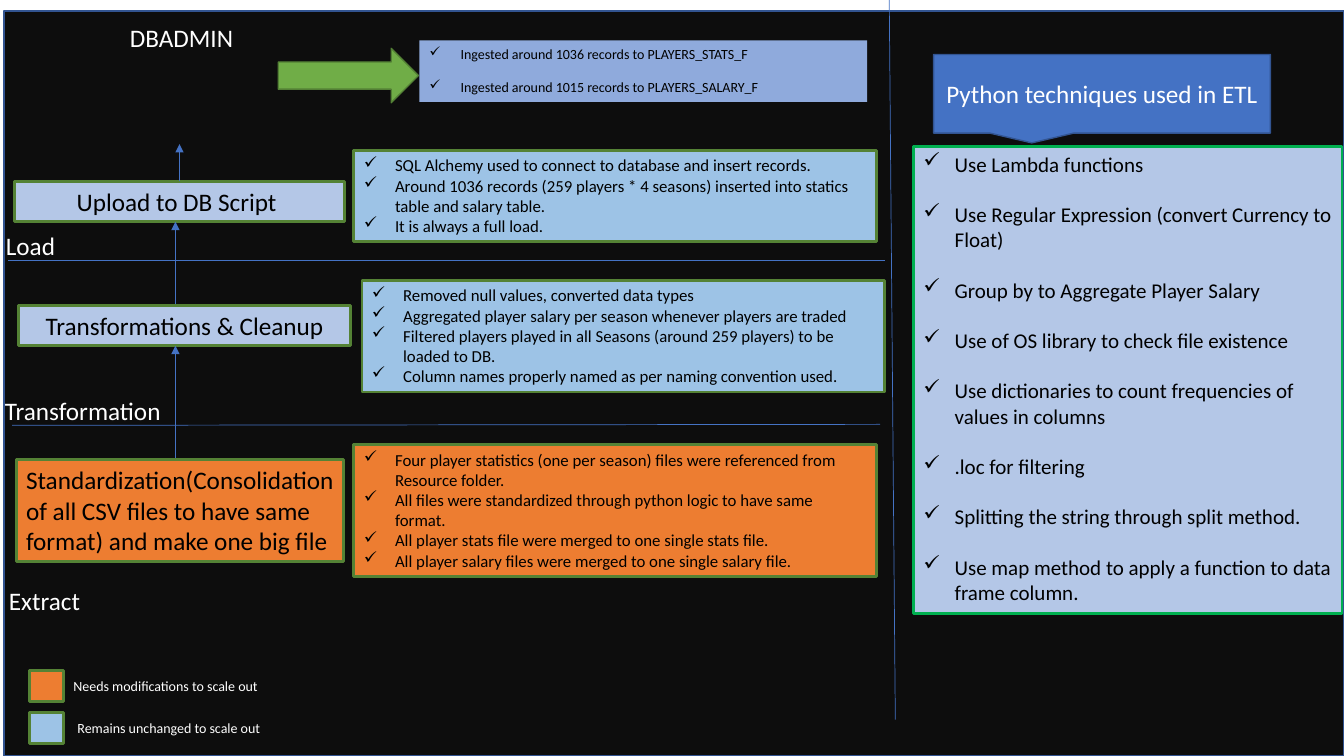
from lxml import etree
from pptx import Presentation
from pptx import util as u
from pptx.dml.color import RGBColor
from pptx.enum import shapes, text
from pptx.oxml.ns import qn

SCALE = 9144  # EMU in one px, 100 px to the inch
FONT = "Calibri"
BLACK, WHITE = "000000", "FFFFFF"
ORANGE, SKY, PALE = "ED7D31", "9DC3E6", "B4C7E7"
BLUE, NAVY, GREEN = "4472C4", "325491", "548235"
RECT = shapes.MSO_SHAPE.RECTANGLE
LEFT, CENTER = text.PP_ALIGN.LEFT, text.PP_ALIGN.CENTER

LOAD_NOTES = [
    "SQL Alchemy used to connect to database and insert records.",
    "Around 1036 records (259 players * 4 seasons) inserted into statics table and salary table.",
    "It is always a full load.",
]
TRANSFORM_NOTES = [
    "Removed null values, converted data types",
    "Aggregated player salary per season whenever players are traded",
    "Filtered players played in all Seasons (around 259 players) to be loaded to DB.",
    "Column names properly named as per naming convention used.",
]
EXTRACT_NOTES = [
    "Four player statistics (one per season) files were referenced from Resource folder.",
    "All files were standardized through python logic to have same format.",
    "All player stats file were merged to one single stats file.",
    "All player salary files were merged to one single salary file.",
]
INGESTED = [
    "Ingested around 1036 records to PLAYERS_STATS_F",
    "Ingested around 1015 records to PLAYERS_SALARY_F",
]
TECHNIQUES = [
    "Use Lambda functions",
    "Use Regular Expression (convert Currency to Float)",
    "Group by to Aggregate Player Salary",
    "Use of OS library to check file existence",
    "Use dictionaries to count frequencies of values in columns",
    ".loc for filtering",
    "Splitting the string through split method.",
    "Use map method to apply a function to data frame column.",
]


def px(length):
    return u.Emu(length * SCALE)


def color(value):
    return RGBColor.from_string(value)


def write(box, lines, size, ink=BLACK, align=LEFT, anchor=text.MSO_ANCHOR.TOP):
    """Fill a shape with one paragraph per line and return the paragraphs."""
    frame = box.text_frame
    frame.word_wrap = True
    frame.vertical_anchor = anchor
    frame.text = "\n".join(lines)
    for para in frame.paragraphs:
        para.alignment = align
        for span in para.runs:
            span.font.name = FONT
            span.font.size = u.Pt(size)
            span.font.color.rgb = color(ink)
    return frame.paragraphs


def add_box(page, place, fill, line=None, width=2, kind=RECT):
    box = page.shapes.add_shape(kind, *map(px, place))
    box.shadow.inherit = False
    box.fill.solid()
    box.fill.fore_color.rgb = color(fill)
    if line:
        box.line.color.rgb = color(line)
        box.line.width = u.Pt(width)
    else:
        box.line.fill.background()
    return box


def add_label(page, place, words, size=18):
    write(page.shapes.add_textbox(*map(px, place)), [words], size, WHITE)


def add_checklist(page, place, fill, line, items, size=12, gap=0):
    """Draw a box of ticked items, with gap points between them."""
    paras = write(add_box(page, place, fill, line), items, size)
    for index, para in enumerate(paras):
        if index:
            para.space_before = u.Pt(gap)
        props = para._p.get_or_add_pPr()
        props.set("marL", str(px(31)))
        props.set("indent", str(-px(31)))
        etree.SubElement(props, qn("a:buChar")).set("char", "✓")


def add_line(page, start, end, arrow=False):
    line = page.shapes.add_connector(
        shapes.MSO_CONNECTOR.STRAIGHT, *map(px, start + end))
    line.line.color.rgb = color(BLUE)
    line.line.width = u.Pt(0.5)
    if arrow:
        tip = etree.SubElement(line.line._get_or_add_ln(), qn("a:tailEnd"))
        tip.set("type", "triangle")
    etree.SubElement(line._element.spPr, qn("a:effectLst"))
    return line


def add_stages(page):
    """Draw the extract, transform and load stages, with their arrows."""
    add_line(page, (12, 422), (873, 421))
    add_line(page, (8, 258), (878, 258))

    cleanup = add_box(page, (18, 303, 330, 40), PALE, GREEN)
    write(cleanup, ["Transformations & Cleanup"], 18, align=CENTER)
    upload = add_box(page, (14, 180, 328, 40), PALE, GREEN)
    write(upload, ["Upload to DB Script "], 18, align=CENTER)
    merge = add_box(page, (16, 456, 325, 101), ORANGE, GREEN)
    write(merge, ["Standardization(Consolidation of all CSV files "
                  "to have same format) and make one big file"], 18)

    add_line(page, (174, 454), (174, 343), arrow=True)
    add_line(page, (174, 302), (174, 220), arrow=True)
    add_line(page, (178, 180), (178, 143), arrow=True).begin_connect(upload, 0)

    add_label(page, (-4, 224, 342, 40), "Load")
    add_label(page, (-5, 387, 342, 40), "Transformation")
    add_label(page, (-1, 576, 342, 40), "Extract")

    add_checklist(page, (351, 149, 518, 91), SKY, GREEN, LOAD_NOTES)
    add_checklist(page, (359, 278, 518, 111), SKY, GREEN, TRANSFORM_NOTES)
    add_checklist(page, (351, 441, 518, 131), ORANGE, GREEN, EXTRACT_NOTES)


def add_database(page):
    add_label(page, (119, 17, 139, 40), "DBADMIN")
    add_box(page, (276, 48, 139, 54), "70AD47", "538035", 1,
            shapes.MSO_SHAPE.RIGHT_ARROW)
    add_checklist(page, (416, 40, 444, 61), "8FAADC", None, INGESTED, 10, 12)


def add_techniques(page):
    add_line(page, (882, -1), (888, 714))
    add_checklist(page, (906, 145, 425, 464), PALE, "00B050", TECHNIQUES, 15, 18)
    callout = add_box(page, (926, 54, 334, 78), BLUE, NAVY, 1,
                      shapes.MSO_SHAPE.RECTANGULAR_CALLOUT)
    write(callout, ["Python techniques used in ETL"], 18, WHITE, CENTER,
          text.MSO_ANCHOR.MIDDLE)


def add_legend(page):
    entries = [(665, 63, ORANGE, "Needs modifications to scale out"),
               (707, 67, SKY, "Remains unchanged to scale out")]
    for top, left, fill, words in entries:
        add_box(page, (29, top, 34, 31), fill, GREEN)
        add_label(page, (left, top + 2, 310, 27), words, 10)


def main():
    deck = Presentation()
    deck.slide_width, deck.slide_height = px(1333), px(750)
    page = deck.slides.add_slide(deck.slide_layouts[6])
    add_box(page, (4, 11, 1329, 739), "0D0D0D", NAVY, 1)
    add_stages(page)
    add_database(page)
    add_techniques(page)
    add_legend(page)
    deck.save("out.pptx")


if __name__ == "__main__":
    main()
